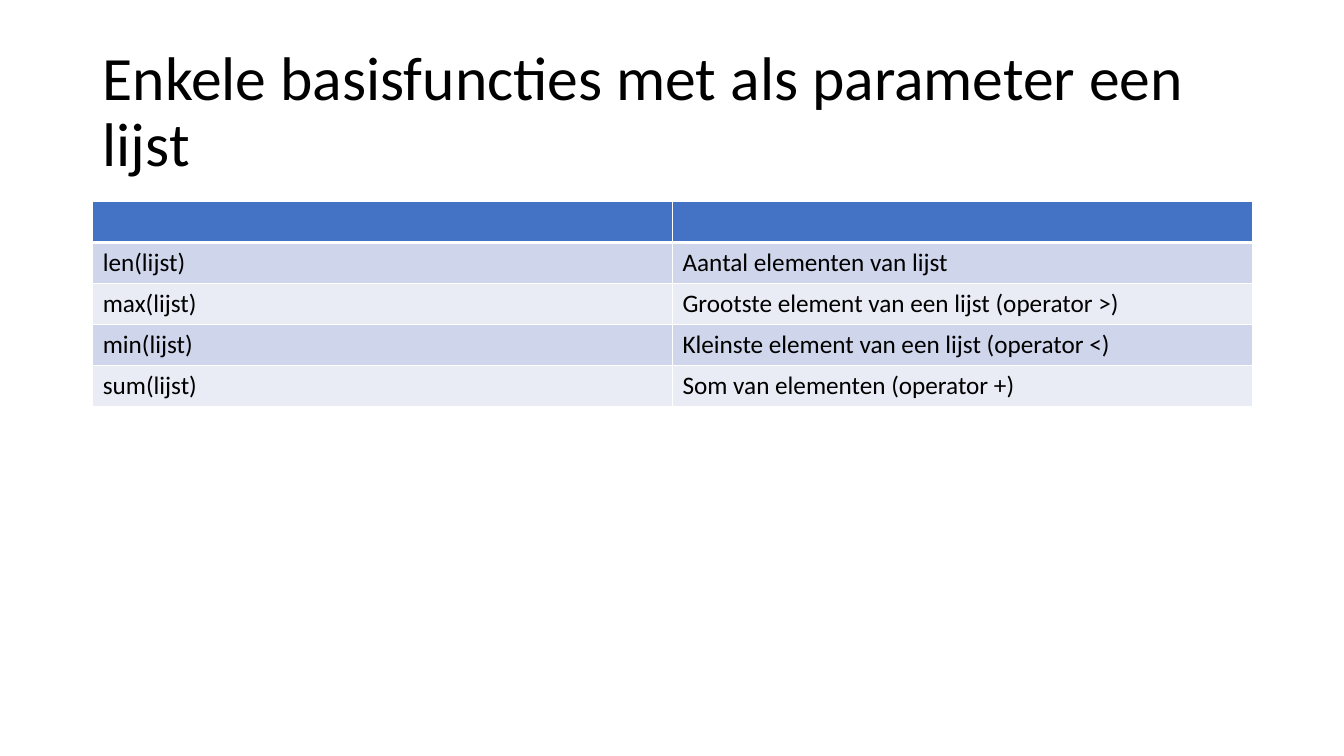
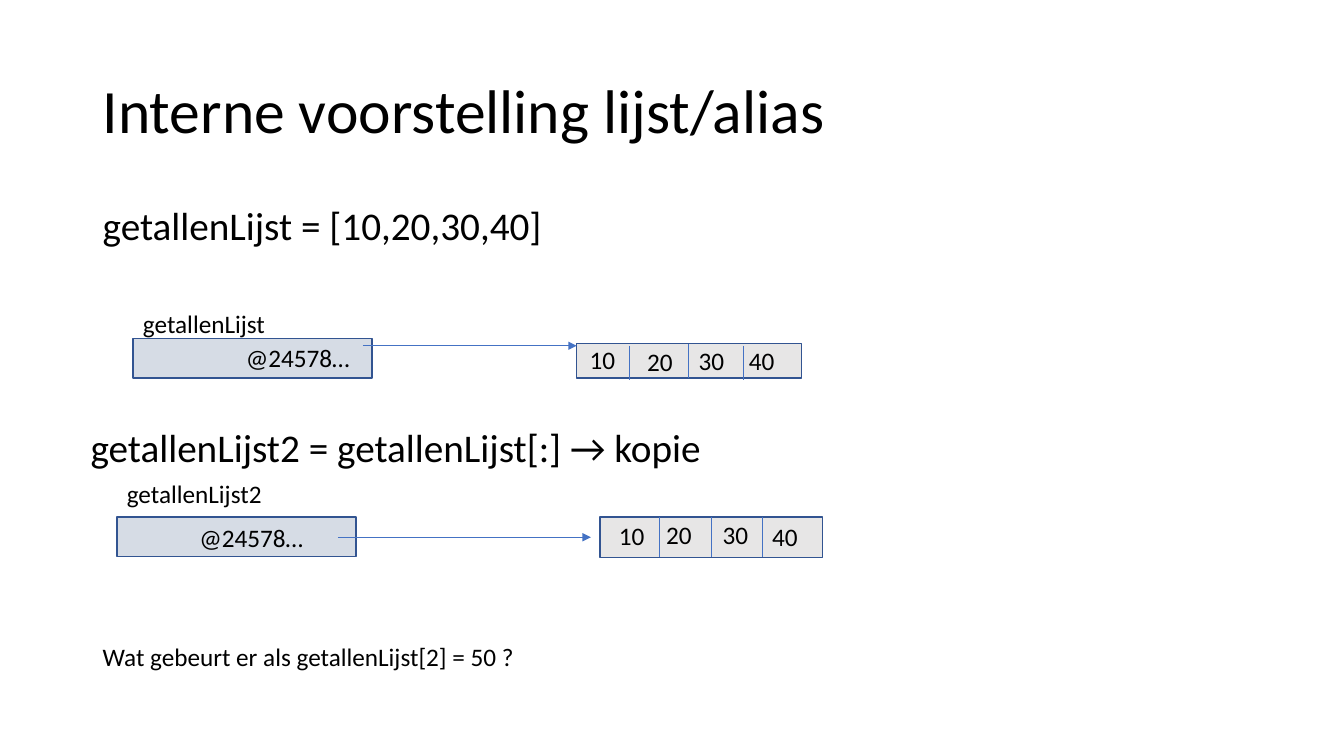
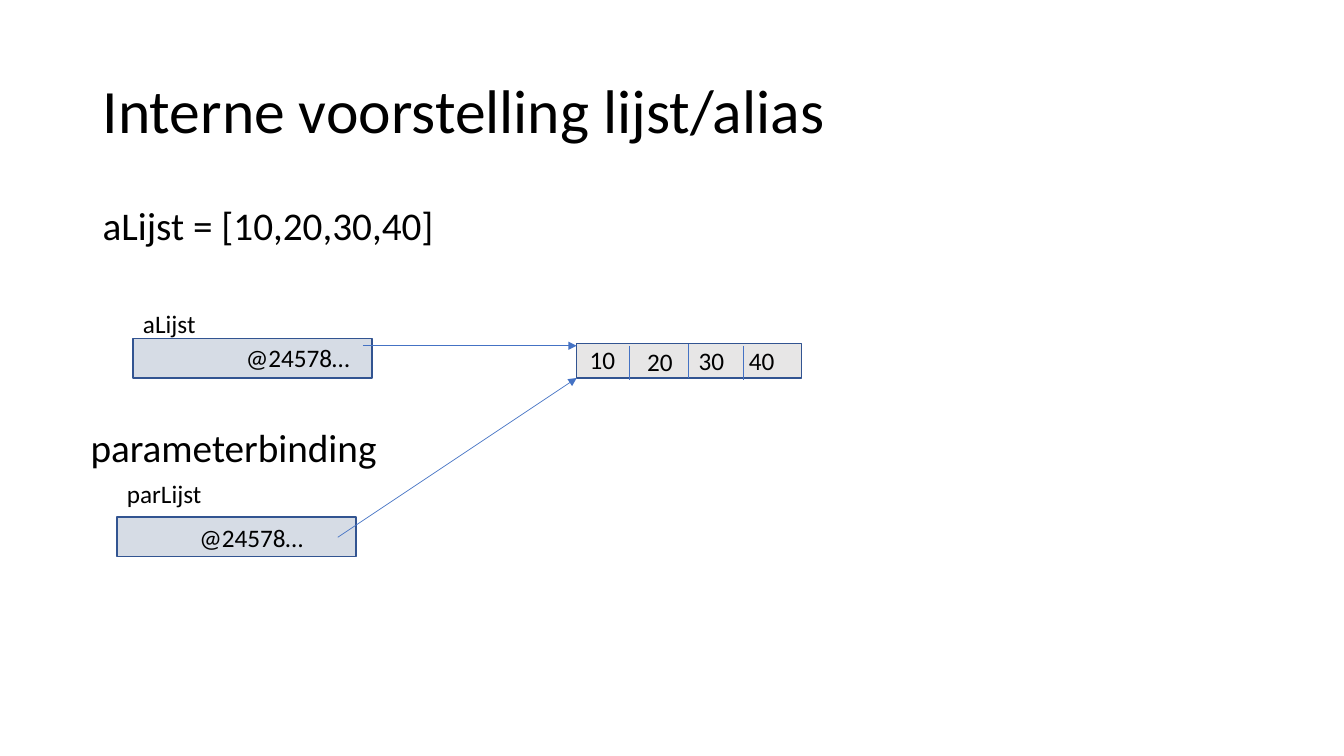
from lxml.etree import SubElement
from pptx import Presentation
from pptx.dml.color import RGBColor
from pptx.enum.shapes import MSO_CONNECTOR, MSO_SHAPE
from pptx.enum.text import MSO_ANCHOR, MSO_AUTO_SIZE
from pptx.oxml.ns import qn
from pptx.util import Inches, Pt

FONT = "Calibri"
BLACK, WHITE, BLUE, OUTLINE = "000000", "FFFFFF", "4472C4", "325491"
VARIABLE_FILL, LIST_FILL = "D6DCE5", "E7E6E6"
BAND_FILLS = ("CFD5EA", "E9EBF5")
LABEL_HEIGHT = 0.4
VALUES = ("10", "20", "30", "40")
ADDRESS = "@24578…"

FUNCTIONS = [
    ("", ""),
    ("len(lijst)", "Aantal elementen van lijst"),
    ("max(lijst)", "Grootste element van een lijst (operator >)"),
    ("min(lijst)", "Kleinste element van een lijst (operator <)"),
    ("sum(lijst)", "Som van elementen (operator +)"),
]
FIRST_LIST = {
    "box": (5.72, 3.41, 2.23, 0.34),
    "dividers": [(6.24, 3.43), (6.83, 3.41), (7.37, 3.43)],
    "values": [(5.75, 3.37), (6.32, 3.39), (6.83, 3.38), (7.33, 3.38)],
}
SECOND_LIST = {
    "box": (5.95, 5.13, 2.21, 0.4),
    "dividers": [(6.54, 5.13), (7.06, 5.13), (7.56, 5.13)],
    "values": [(6.04, 5.11), (6.51, 5.1), (7.07, 5.1), (7.56, 5.12)],
}


def color(value):
    """Return the colour for a hex string."""
    return RGBColor.from_string(value)


def inches(*lengths):
    """Convert numbers to lengths in inches."""
    return [Inches(length) for length in lengths]


def format_text(text_frame, size):
    """Give all runs the shared font at one size."""
    for paragraph in text_frame.paragraphs:
        for run in paragraph.runs:
            run.font.name = FONT
            run.font.size = Pt(size)
            run.font.color.rgb = color(BLACK)


def add_text(slide, text, box, size):
    """Add a wrapping text box and return its text frame."""
    text_frame = slide.shapes.add_textbox(*inches(*box)).text_frame
    text_frame.word_wrap = True
    text_frame.text = text
    format_text(text_frame, size)
    return text_frame


def add_label(slide, text, left, top, width):
    """Add a small label that fits its text on one line."""
    text_frame = add_text(slide, text, (left, top, width, LABEL_HEIGHT), 18)
    text_frame.word_wrap = False
    text_frame.auto_size = MSO_AUTO_SIZE.SHAPE_TO_FIT_TEXT


def add_statement(slide, text, box):
    """Add a large line of body text."""
    paragraph = add_text(slide, text, box, 28).paragraphs[0]
    paragraph.line_spacing = 0.9
    paragraph.space_before = Pt(10)


def add_titled_slide(presentation, title):
    """Add a blank slide with the shared title style."""
    slide = presentation.slides.add_slide(presentation.slide_layouts[6])
    text_frame = add_text(slide, title, (0.92, 0.4, 11.5, 1.45), 44)
    text_frame.vertical_anchor = MSO_ANCHOR.MIDDLE
    text_frame.paragraphs[0].line_spacing = 0.9
    return slide


def add_rectangle(slide, box, fill):
    """Add an outlined rectangle."""
    shape = slide.shapes.add_shape(MSO_SHAPE.RECTANGLE, *inches(*box))
    shape.shadow.inherit = False
    shape.fill.solid()
    shape.fill.fore_color.rgb = color(fill)
    shape.line.color.rgb = color(OUTLINE)
    shape.line.width = Pt(1)


def add_line(slide, start, end, arrow=False):
    """Add a thin line, with an arrowhead at its end if asked."""
    connector = slide.shapes.add_connector(MSO_CONNECTOR.STRAIGHT, *inches(*start, *end))
    connector.line.color.rgb = color(BLUE)
    connector.line.width = Pt(0.5)
    if arrow:
        SubElement(connector.line._get_or_add_ln(), qn("a:tailEnd"), type="triangle")
    SubElement(connector._element.spPr, qn("a:effectLst"))


def add_variable(slide, name, name_box, box, address_at):
    """Add a named variable that holds an address."""
    add_rectangle(slide, box, VARIABLE_FILL)
    add_label(slide, name, *name_box)
    add_label(slide, ADDRESS, *address_at, 1.26)


def add_list(slide, box, dividers, values):
    """Add a list drawn as a divided row of values."""
    add_rectangle(slide, box, LIST_FILL)
    for left, top in dividers:
        add_line(slide, (left, top), (left, top + box[3]))
    for text, (left, top) in zip(VALUES, values):
        add_label(slide, text, left, top, 0.46)


def set_borders(cell, widths):
    """Draw white cell borders with the given widths in points."""
    properties = cell._tc.get_or_add_tcPr()
    for side, width in widths.items():
        line = SubElement(properties, qn(f"a:ln{side}"), w=str(Pt(width)))
        fill = SubElement(line, qn("a:solidFill"))
        SubElement(fill, qn("a:srgbClr"), val=WHITE)


def add_function_table(slide):
    """Add the table of list functions."""
    box = inches(0.92, 2, 11.5, 2.03)
    table = slide.shapes.add_table(len(FUNCTIONS), 2, *box).table
    table.first_row = table.horz_banding = False
    for row_index, texts in enumerate(FUNCTIONS):
        fill = BAND_FILLS[(row_index - 1) % 2] if row_index else BLUE
        top = 3 if row_index == 1 else 1
        bottom = 3 if row_index == 0 else 1
        for column_index, text in enumerate(texts):
            cell = table.cell(row_index, column_index)
            set_borders(cell, {"L": 1, "R": 1, "T": top, "B": bottom})
            cell.fill.solid()
            cell.fill.fore_color.rgb = color(fill)
            cell.text_frame.text = text
            format_text(cell.text_frame, 18)


def add_memory_slide(presentation, first, second, second_statement):
    """Add a slide with two variables, each a (name, label width) pair."""
    slide = add_titled_slide(presentation, "Interne voorstelling lijst/alias")
    add_statement(slide, f"{first[0]} = [10,20,30,40]", (0.92, 2, 11.5, 2.12))
    add_variable(slide, first[0], (1.32, 3.01, first[1]), (1.32, 3.36, 2.37, 0.39), (2.34, 3.35))
    add_list(slide, **FIRST_LIST)
    add_line(slide, (3.6, 3.43), (5.72, 3.43), arrow=True)
    add_statement(slide, second_statement, (0.8, 4.2, 11.5, 1.59))
    add_variable(slide, second[0], (1.16, 4.7, second[1]), (1.16, 5.13, 2.37, 0.39), (1.88, 5.13))
    return slide


def main():
    """Build and save the presentation."""
    presentation = Presentation()
    presentation.slide_width, presentation.slide_height = inches(13.33, 7.5)

    slide = add_titled_slide(presentation, "Enkele basisfuncties met als parameter een lijst")
    add_function_table(slide)

    slide = add_memory_slide(presentation, ("getallenLijst", 1.43), ("getallenLijst2", 1.55),
                             "getallenLijst2 = getallenLijst[:] → kopie")
    add_line(slide, (3.35, 5.33), (5.86, 5.33), arrow=True)
    add_list(slide, **SECOND_LIST)
    add_label(slide, "Wat gebeurt er als getallenLijst[2] = 50 ?", 0.92, 6.31, 4.33)

    slide = add_memory_slide(presentation, ("aLijst", 0.73), ("parLijst", 0.95),
                             "parameterbinding")
    add_line(slide, (3.35, 5.33), (5.72, 3.75), arrow=True)

    presentation.save("out.pptx")


if __name__ == "__main__":
    main()
